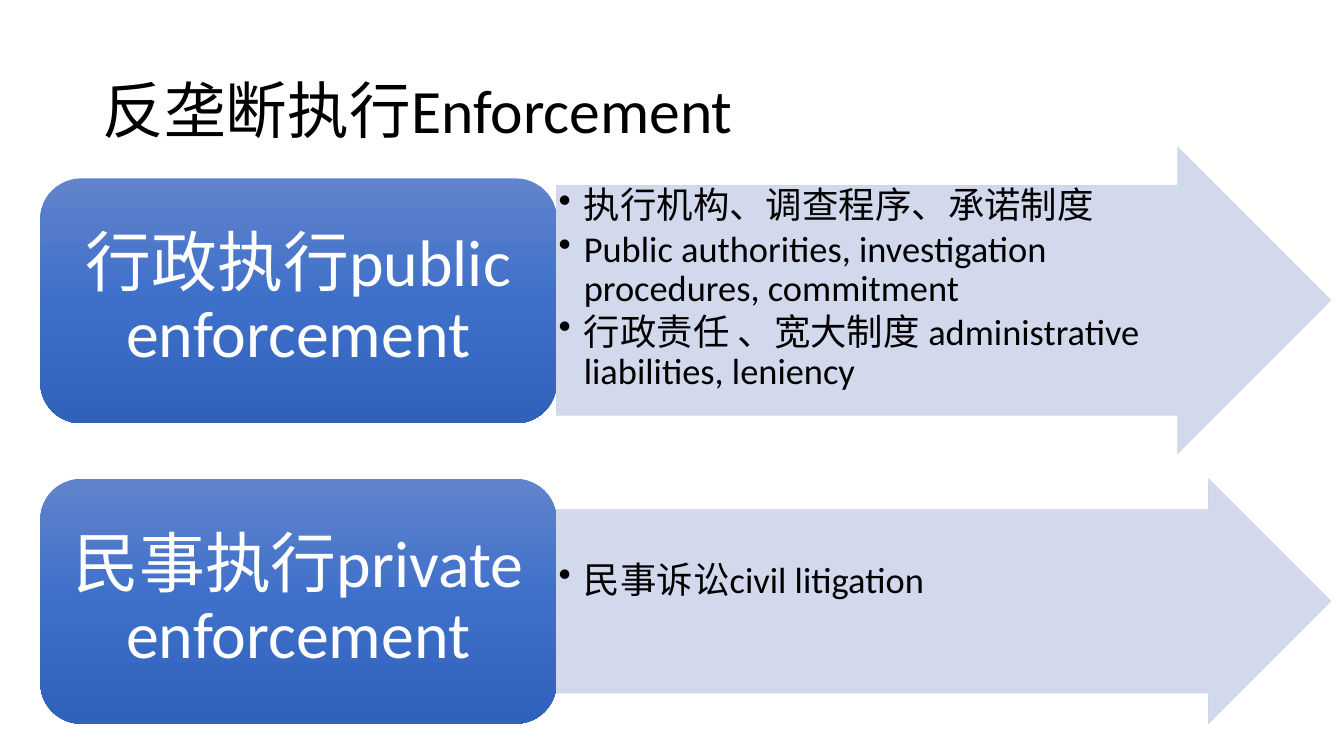
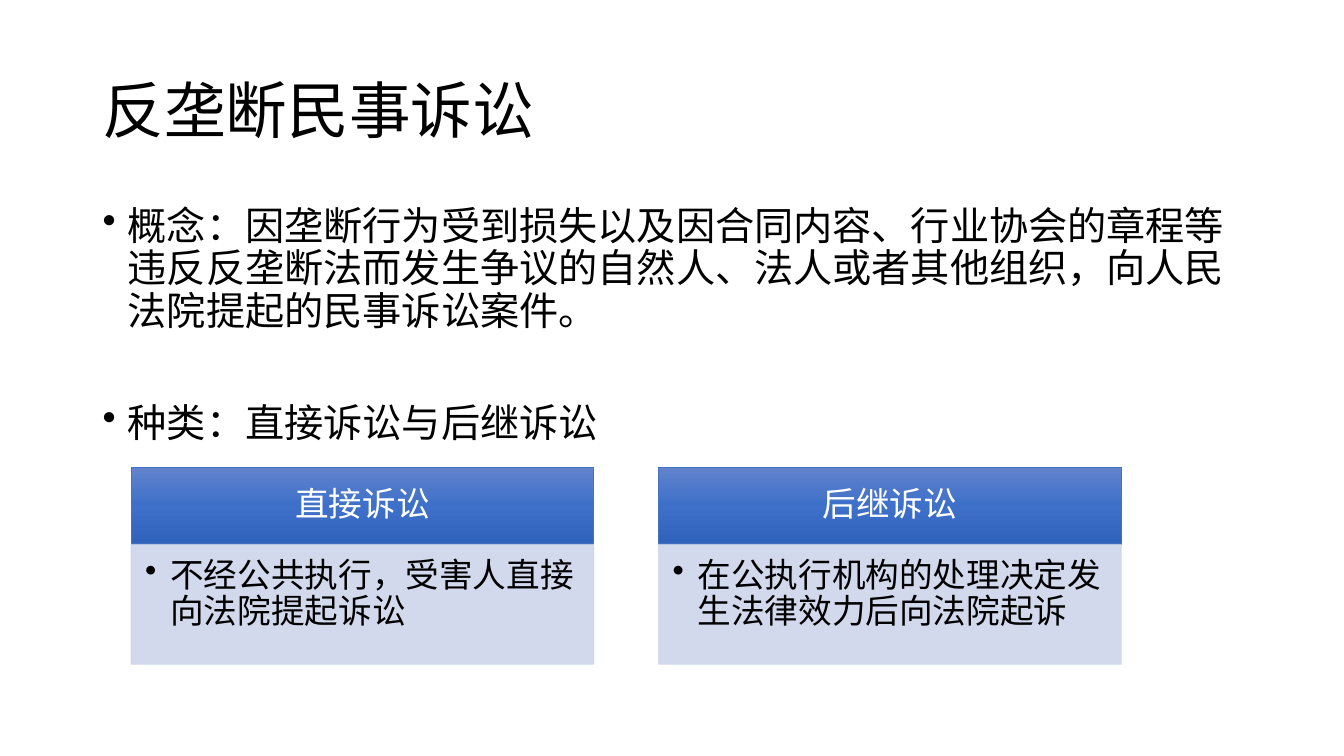
from copy import deepcopy
from pptx import Presentation
from pptx.dml.color import RGBColor
from pptx.enum.shapes import MSO_SHAPE
from pptx.enum.text import MSO_ANCHOR, PP_ALIGN
from pptx.oxml.ns import qn
from pptx.util import Emu, Pt

PX = 9144
FONT = "Calibri"
BLACK = RGBColor(0x00, 0x00, 0x00)
WHITE = RGBColor(0xFF, 0xFF, 0xFF)
BLUE = RGBColor(0x44, 0x72, 0xC4)
PALE = RGBColor(0xCF, 0xD5, 0xEA)
GRADIENT = [
    (0, RGBColor(0x61, 0x83, 0xCB)),
    (0.5, RGBColor(0x3E, 0x70, 0xCA)),
    (1, RGBColor(0x30, 0x62, 0xBB)),
]
TITLE_BOX = (92, 40, 1150, 145)
BODY_BOX = (92, 200, 1150, 476)
BOX_INSETS = (10, 5, 10, 5)

ENFORCEMENT_TITLE = "反垄断执行Enforcement"
ENFORCEMENT_ROWS = [
    {
        "label": "行政执行public enforcement",
        "points": [
            "执行机构、调查程序、承诺制度",
            "Public authorities, investigation procedures, commitment",
            "行政责任 、宽大制度 administrative liabilities, leniency",
        ],
        "middle": 298,
        "arrow_height": 304,
        "top_inset": 2,
    },
    {
        "label": "民事执行private enforcement",
        "points": ["民事诉讼civil litigation"],
        "middle": 596,
        "arrow_height": 243,
        "top_inset": 52,
    },
]
LABEL_LEFT, LABEL_WIDTH, LABEL_HEIGHT = 40, 512, 243
ARROW_WIDTH = 768

LITIGATION_TITLE = "反垄断民事诉讼"
LITIGATION_POINTS = [
    "概念：因垄断行为受到损失以及因合同内容、行业协会的章程等违反反垄断法而发生争议的自然人、法人或者其他组织，向人民法院提起的民事诉讼案件。",
    "种类：直接诉讼与后继诉讼",
]
LITIGATION_CARDS = [
    ("直接诉讼", "不经公共执行，受害人直接向法院提起诉讼"),
    ("后继诉讼", "在公执行机构的处理决定发生法律效力后向法院起诉"),
]
CARD_LEFT, CARD_TOP, CARD_WIDTH, CARD_GAP = 130, 464, 459, 64
HEAD_HEIGHT, DETAIL_HEIGHT = 76, 119


def px(values):
    return [Emu(v * PX) for v in values]


def write(s, texts, size, color=BLACK, bullet=False, centered=False,
          anchor=MSO_ANCHOR.TOP, insets=BOX_INSETS, gap=0):
    tf = s.text_frame
    tf.word_wrap = True
    tf.vertical_anchor = anchor
    tf.margin_left, tf.margin_top, tf.margin_right, tf.margin_bottom = px(insets)
    for i, text in enumerate(texts):
        p = tf.paragraphs[0] if i == 0 else tf.add_paragraph()
        p.alignment = PP_ALIGN.CENTER if centered else PP_ALIGN.LEFT
        p.line_spacing = 0.9
        if i:
            p.space_before = Pt(gap)
        if bullet:
            pPr = p._p.get_or_add_pPr()
            pPr.set("marL", str(25 * PX))
            pPr.set("indent", str(-25 * PX))
            pPr.append(pPr.makeelement(qn("a:buChar"), {"char": "•"}))
        r = p.add_run()
        r.text = text
        r.font.name = FONT
        r.font.size = Pt(size)
        r.font.color.rgb = color


def add_text(slide, box, texts, size, **style):
    s = slide.shapes.add_textbox(*px(box))
    write(s, texts, size, **style)


def add_shape(slide, kind, box):
    s = slide.shapes.add_shape(kind, *px(box))
    s.shadow.inherit = False
    return s


def add_blue(slide, kind, box, line=None):
    s = add_shape(slide, kind, box)
    s.fill.gradient()
    s.fill.gradient_angle = 270
    stops = s._element.spPr.find(qn("a:gradFill")).find(qn("a:gsLst"))
    stops.append(deepcopy(stops[1]))
    for stop, (position, color) in zip(s.fill.gradient_stops, GRADIENT):
        stop.position = position
        stop.color.rgb = color
    if line:
        s.line.color.rgb = line
        s.line.width = Pt(0.5)
    else:
        s.line.fill.background()
    return s


def add_pale(slide, kind, box):
    s = add_shape(slide, kind, box)
    s.fill.solid()
    s.fill.fore_color.rgb = PALE
    s.line.color.rgb = PALE
    s.line.width = Pt(0.5)
    for clr in s._element.spPr.iter(qn("a:srgbClr")):
        clr.append(clr.makeelement(qn("a:alpha"), {"val": "90000"}))
    return s


def add_slide(prs, title):
    slide = prs.slides.add_slide(prs.slide_layouts[6])
    add_text(slide, TITLE_BOX, [title], 44, anchor=MSO_ANCHOR.MIDDLE)
    return slide


def build_enforcement(prs):
    slide = add_slide(prs, ENFORCEMENT_TITLE)
    for row in ENFORCEMENT_ROWS:
        height = row["arrow_height"]
        arrow = add_pale(slide, MSO_SHAPE.RIGHT_ARROW, (
            LABEL_LEFT + LABEL_WIDTH, row["middle"] - height // 2,
            ARROW_WIDTH, height))
        arrow.adjustments[0] = 0.75
        arrow.adjustments[1] = 0.5
        write(arrow, row["points"], 26, bullet=True, gap=3,
              insets=(2, row["top_inset"], 2, 2))
        label = add_blue(slide, MSO_SHAPE.ROUNDED_RECTANGLE, (
            LABEL_LEFT, row["middle"] - LABEL_HEIGHT // 2,
            LABEL_WIDTH, LABEL_HEIGHT))
        write(label, [row["label"]], 47, color=WHITE, centered=True,
              anchor=MSO_ANCHOR.MIDDLE, insets=(20, 10, 20, 10))


def build_litigation(prs):
    slide = add_slide(prs, LITIGATION_TITLE)
    add_text(slide, BODY_BOX, LITIGATION_POINTS, 28, bullet=True, gap=50)
    for i, (heading, detail) in enumerate(LITIGATION_CARDS):
        left = CARD_LEFT + i * (CARD_WIDTH + CARD_GAP)
        head = add_blue(slide, MSO_SHAPE.RECTANGLE,
                        (left, CARD_TOP, CARD_WIDTH, HEAD_HEIGHT), BLUE)
        write(head, [heading], 24, color=WHITE, centered=True,
              anchor=MSO_ANCHOR.MIDDLE, insets=(19, 11, 19, 11))
        body = add_pale(slide, MSO_SHAPE.RECTANGLE,
                        (left, CARD_TOP + HEAD_HEIGHT, CARD_WIDTH, DETAIL_HEIGHT))
        write(body, [detail], 24, bullet=True, insets=(14, 14, 19, 21))


def main():
    prs = Presentation()
    prs.slide_width, prs.slide_height = px((1333, 750))
    build_enforcement(prs)
    build_litigation(prs)
    prs.save("out.pptx")


if __name__ == "__main__":
    main()
